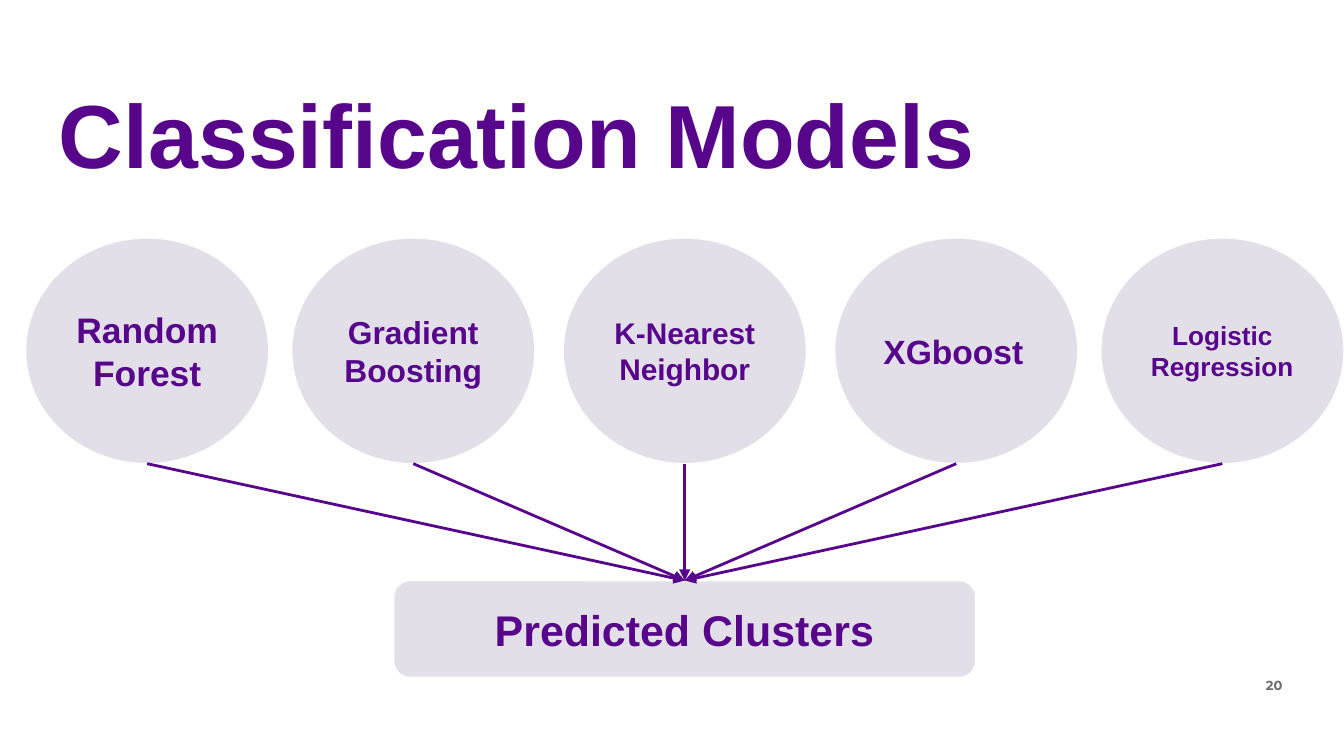
from lxml.etree import SubElement
from pptx import Presentation
from pptx.dml.color import RGBColor
from pptx.enum.shapes import MSO_CONNECTOR as Connector, MSO_SHAPE as Shape
from pptx.enum.text import MSO_ANCHOR as Anchor, PP_ALIGN as Align
from pptx.oxml.ns import qn
from pptx.util import Inches, Pt

PURPLE = "57068C"
LILAC = "E3DFE9"
WHITE = "FFFFFF"
GRAY = "6D6D6D"

MODELS = [
    ("Random Forest", 0.19, 19, Align.CENTER),
    ("Gradient Boosting", 2.17, 17, Align.CENTER),
    ("K-Nearest Neighbor", 4.19, 16, Align.CENTER),
    ("XGboost", 6.21, 18, Align.LEFT),
    ("Logistic Regression", 8.19, 14, Align.CENTER),
]


def color(value):
    return RGBColor.from_string(value)


def write(shape, text, size, align, anchor, font="Arial", ink=PURPLE):
    frame = shape.text_frame
    frame.word_wrap = True
    frame.vertical_anchor = anchor
    frame.margin_left = frame.margin_right = Inches(0.1)
    frame.margin_top = frame.margin_bottom = Inches(0.1)
    paragraph = frame.paragraphs[0]
    paragraph.text = text
    paragraph.alignment = align
    paragraph.font.name = font
    paragraph.font.size = Pt(size)
    paragraph.font.bold = True
    paragraph.font.color.rgb = color(ink)
    return paragraph


def add_label(slide, box, text, size, align, **style):
    label = slide.shapes.add_textbox(*map(Inches, box))
    return write(label, text, size, align, Anchor.TOP, **style)


def add_node(slide, kind, box, text, size, align=Align.CENTER):
    node = slide.shapes.add_shape(kind, *map(Inches, box))
    node.shadow.inherit = False
    node.fill.solid()
    node.fill.fore_color.rgb = color(LILAC)
    node.line.color.rgb = color(WHITE)
    node.line.width = Pt(0.75)
    write(node, text, size, align, Anchor.MIDDLE)
    return node


def add_arrow(slide, source, target):
    x = source.left + source.width // 2
    y = source.top + source.height
    arrow = slide.shapes.add_connector(Connector.STRAIGHT, x, y, x, target.top)
    arrow.end_connect(target, 0)
    arrow.line.color.rgb = color(PURPLE)
    arrow.line.width = Pt(1.5)
    SubElement(arrow.line._get_or_add_ln(), qn("a:tailEnd"), type="triangle")
    SubElement(arrow._element.spPr, qn("a:effectLst"))


def add_model_diagram(slide, left, top):
    models = [
        add_node(slide, Shape.OVAL, (left + x, top, 1.81, 1.68), text, size, align)
        for text, x, size, align in MODELS
    ]
    clusters = add_node(
        slide, Shape.ROUNDED_RECTANGLE, (left + 2.93, top + 2.55, 4.33, 0.72),
        "Predicted Clusters", 23,
    )
    for model in models:
        add_arrow(slide, model, clusters)


def main():
    presentation = Presentation()
    presentation.slide_width = Inches(10)
    presentation.slide_height = presentation.slide_width * 9 // 16
    slide = presentation.slides.add_slide(presentation.slide_layouts[6])
    add_label(slide, (5.05, 4.98, 4.59, 0.34), "20", 7, Align.RIGHT,
              font="Montserrat", ink=GRAY)
    title = add_label(slide, (0.34, 0.64, 9.41, 0.72), "Classification Models",
                      48, Align.LEFT)
    title.line_spacing = 0.8
    add_model_diagram(slide, 0, 1.77)
    presentation.save("out.pptx")


if __name__ == "__main__":
    main()
